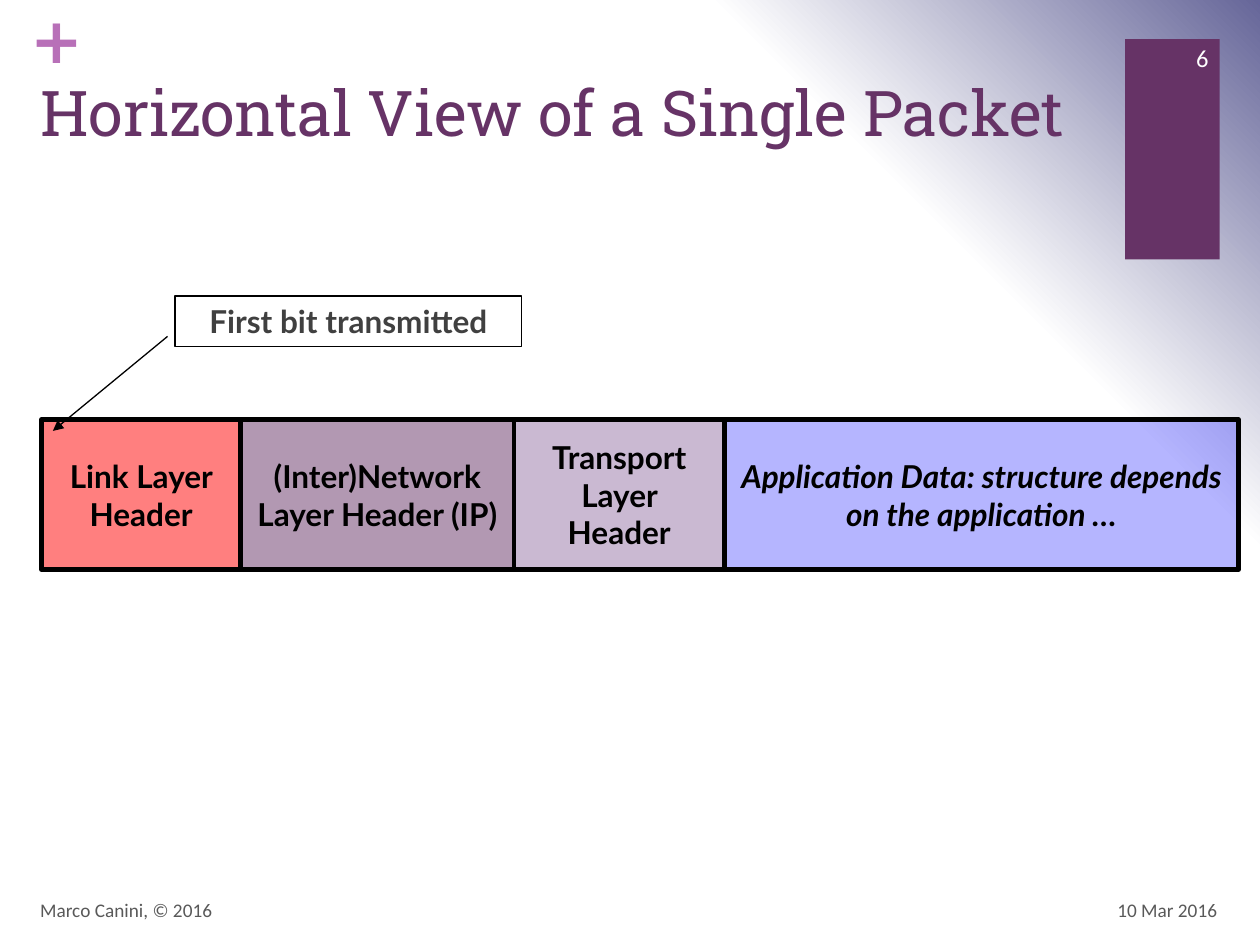
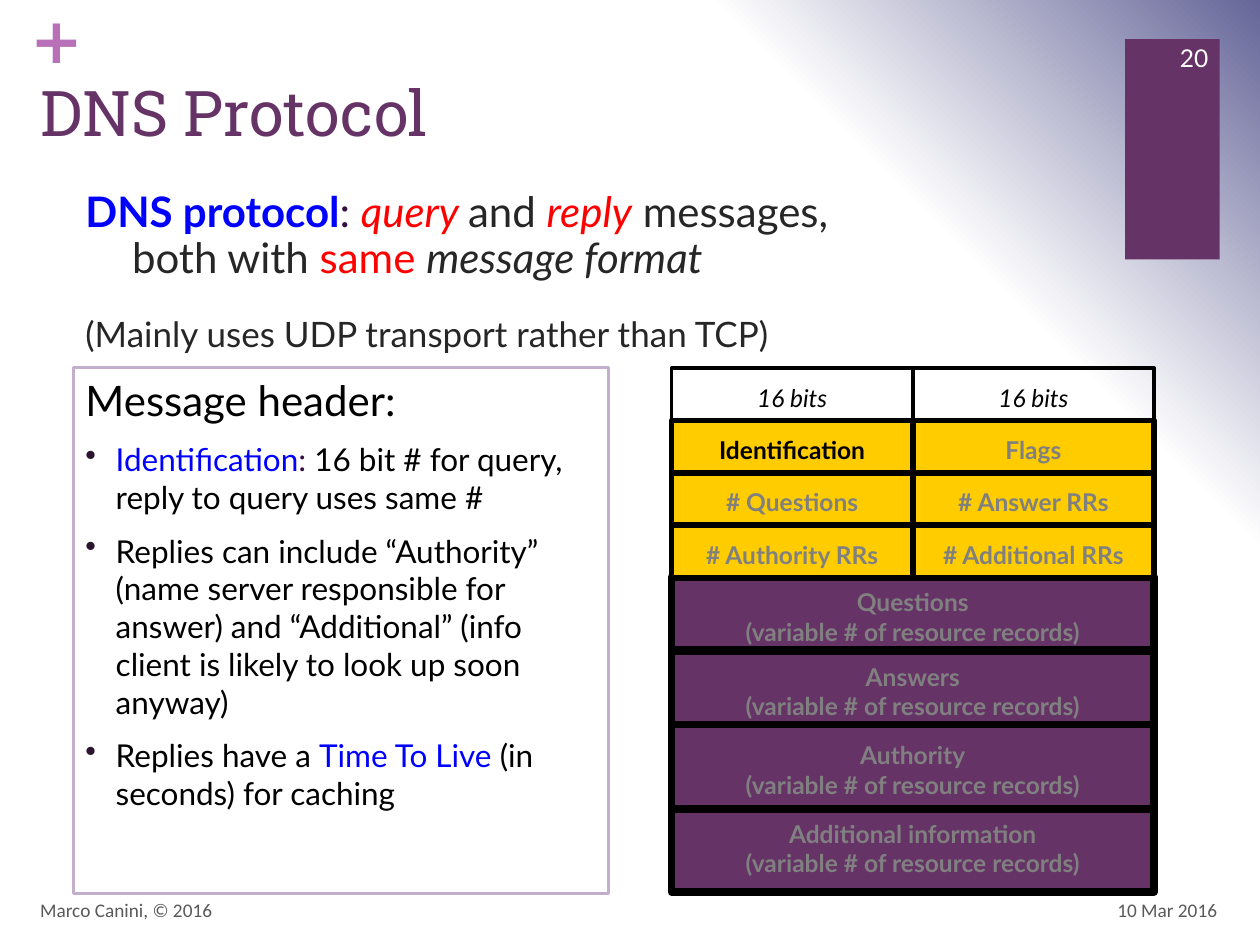
"""Build two networking lecture slides: a packet layout and the DNS message format."""
import dataclasses

import pptx
import pptx.dml.color
import pptx.enum.shapes
import pptx.enum.text
import pptx.oxml
import pptx.oxml.ns
import pptx.util

Inches = pptx.util.Inches
Align = pptx.enum.text.PP_ALIGN
Anchor = pptx.enum.text.MSO_ANCHOR


@dataclasses.dataclass(frozen=True)
class Theme:
    """Colours, fonts and type sizes shared by the slides."""

    purple: str = "663366"
    plus: str = "B870B8"
    corner: str = "666699"
    white: str = "FFFFFF"
    black: str = "000000"
    ink: str = "262626"
    colon: str = "330F42"
    footer: str = "595959"
    callout: str = "404040"
    muted: str = "808080"
    blue: str = "0000FF"
    red: str = "FF0000"
    lilac: str = "9775A7"
    frame: str = "C3AFCC"
    bullet: str = "2B142D"
    yellow: str = "FFCC00"
    body_font: str = "Lato"
    title_font: str = "Roboto Slab"
    footer_font: str = "Calibri"
    plus_font: str = "DejaVu Sans"
    title_size: int = 36
    lead_size: int = 24
    note_size: int = 20
    text_size: int = 18
    label_size: int = 14
    footer_size: int = 11


THEME = Theme()


@dataclasses.dataclass(frozen=True)
class Style:
    """Character formatting of one run."""

    size: int = THEME.text_size
    color: str = THEME.black
    bold: bool = False
    italic: bool = False
    font: str = THEME.body_font

    def but(self, **changes):
        """Return this style with some values changed."""
        return dataclasses.replace(self, **changes)


def rgb(color):
    """Turn a hex string into a colour."""
    return pptx.dml.color.RGBColor.from_string(color)


def add_runs(paragraph, runs):
    """Add (text, style) runs to a paragraph; None stands for a line break."""
    for item in runs:
        if item is None:
            paragraph.add_line_break()
            continue
        text, style = item
        run = paragraph.add_run()
        run.text = text
        run.font.name = style.font
        run.font.size = pptx.util.Pt(style.size)
        run.font.bold = style.bold
        run.font.italic = style.italic
        run.font.color.rgb = rgb(style.color)


def write(shape, paragraphs, align=Align.LEFT, anchor=Anchor.TOP, wrap=True):
    """Fill a shape with paragraphs of runs and return the paragraphs."""
    frame = shape.text_frame
    frame.word_wrap = wrap
    frame.auto_size = pptx.enum.text.MSO_AUTO_SIZE.NONE
    frame.vertical_anchor = anchor
    written = []
    for index, runs in enumerate(paragraphs):
        paragraph = frame.add_paragraph() if index else frame.paragraphs[0]
        paragraph.alignment = align
        add_runs(paragraph, runs)
        written.append(paragraph)
    return written


def add_text(slide, box, paragraphs, **options):
    """Add a text box and return it with its paragraphs."""
    shape = slide.shapes.add_textbox(*map(Inches, box))
    return shape, write(shape, paragraphs, **options)


def add_box(slide, box, fill=None, opacity=100, line=None, width=1):
    """Add a rectangle with an optional fill and outline."""
    shape = slide.shapes.add_shape(
        pptx.enum.shapes.MSO_SHAPE.RECTANGLE, *map(Inches, box))
    shape.shadow.inherit = False
    if fill:
        shape.fill.solid()
        shape.fill.fore_color.rgb = rgb(fill)
        if opacity < 100:
            color = shape._element.spPr.find(".//" + pptx.oxml.ns.qn("a:srgbClr"))
            alpha = color.makeelement(pptx.oxml.ns.qn("a:alpha"), {"val": str(opacity * 1000)})
            color.append(alpha)
    else:
        shape.fill.background()
    if line:
        shape.line.color.rgb = rgb(line)
        shape.line.width = pptx.util.Pt(width)
    else:
        shape.line.fill.background()
    return shape


def add_arrow(slide, start, end):
    """Add a thin line with a triangle at its end."""
    arrow = slide.shapes.add_connector(
        pptx.enum.shapes.MSO_CONNECTOR.STRAIGHT, *map(Inches, start + end))
    arrow.line.color.rgb = rgb(THEME.black)
    arrow.line.width = pptx.util.Pt(0.75)
    line = arrow.line._get_or_add_ln()
    line.append(line.makeelement(pptx.oxml.ns.qn("a:tailEnd"), {"type": "triangle"}))
    properties = arrow._element.spPr
    properties.append(properties.makeelement(pptx.oxml.ns.qn("a:effectLst"), {}))


def set_indent(paragraph, indent, bullet=False):
    """Give a paragraph a hanging indent and, if wanted, a round bullet."""
    properties = paragraph._p.get_or_add_pPr()
    properties.set("marL", str(Inches(indent)))
    properties.set("indent", str(-Inches(indent)))
    if bullet:
        color = pptx.oxml.parse_xml(
            f'<a:buClr {pptx.oxml.ns.nsdecls("a")}><a:srgbClr val="{THEME.bullet}"/></a:buClr>')
        mark = properties.makeelement(pptx.oxml.ns.qn("a:buChar"), {"char": "•"})
        properties.extend([color, mark])


def set_background(master):
    """Shade the top right corner of every slide."""
    stops = "".join(
        f'<a:gs pos="{position * 1000}"><a:srgbClr val="{color}"/></a:gs>'
        for position, color in ((0, THEME.white), (75, THEME.white), (100, THEME.corner)))
    gradient = pptx.oxml.parse_xml(
        f'<a:gradFill {pptx.oxml.ns.nsdecls("a")} rotWithShape="0"><a:gsLst>{stops}</a:gsLst>'
        '<a:path path="circle"><a:fillToRect t="100000" r="100000"/></a:path></a:gradFill>')
    master.background.fill.solid()
    properties = master._element.cSld.bg.bgPr
    properties.replace(properties[0], gradient)


def start_slide(presentation, title, number, number_font):
    """Add a slide with its band, plus sign, title, number and footers."""
    slide = presentation.slides.add_slide(presentation.slide_layouts[5])
    add_box(slide, (8.93, 0.31, 0.75, 1.75), THEME.purple)
    plus, _ = add_text(slide, (0.24, 0, 0.29, 0.61), [[("+", Style(
        THEME.title_size, THEME.plus, bold=True, font=THEME.plus_font))]], wrap=False)
    frame = plus.text_frame
    frame.margin_left = frame.margin_right = frame.margin_top = frame.margin_bottom = 0

    heading = slide.shapes.title
    heading.left, heading.top, heading.width, heading.height = map(
        Inches, (0.22, 0.53, 8.59, 1.22))
    write(heading, [[(title, Style(
        THEME.title_size, THEME.purple, font=THEME.title_font))]])

    footer = Style(THEME.footer_size, THEME.footer, font=THEME.footer_font)
    number_style = Style(THEME.label_size, THEME.white, font=number_font)
    for box, text, style, align in (
            ((9.08, 0.26, 0.61, 0.4), number, number_style, Align.RIGHT),
            ((7.43, 7.02, 2.33, 0.4), "10 Mar 2016", footer, Align.RIGHT),
            ((0.22, 7.02, 6.7, 0.4), "Marco Canini, © 2016", footer, Align.LEFT)):
        add_text(slide, box, [[(text, style)]], align=align, anchor=Anchor.MIDDLE)
    return slide


def draw_packet(slide, left, top, height):
    """Draw the packet's fields side by side, with a callout on the first bit."""
    style = Style(bold=True)
    fields = (
        ("Link Layer Header", 1.58, THEME.red, 50, style),
        ("(Inter)Network Layer Header (IP)", 2.17, THEME.purple, 50, style),
        ("Transport Layer Header", 1.67, THEME.lilac, 50, style),
        ("Application Data: structure depends on the application …", 4.08,
         THEME.blue, 29, style.but(italic=True)))
    field_left = left
    for text, width, fill, opacity, field_style in fields:
        field = add_box(slide, (field_left, top, width, height), fill, opacity, THEME.black, 2.5)
        write(field, [[(text, field_style)]], Align.CENTER, Anchor.MIDDLE)
        field_left += width
    callout = add_box(slide, (left + 1.06, top - 0.98, 2.75, 0.4), line=THEME.black)
    write(callout, [[("First bit transmitted", style.but(color=THEME.callout))]],
          Align.CENTER, Anchor.MIDDLE, wrap=False)
    add_arrow(slide, (left + 1, top - 0.66), (left + 0.09, top + 0.09))


def draw_summary(slide, box):
    """Write the opening statement about the protocol."""
    plain = Style(THEME.lead_size, THEME.ink)
    red = plain.but(color=THEME.red)
    _, paragraphs = add_text(slide, box, [
        [("DNS protocol", plain.but(color=THEME.blue, bold=True)),
         (": ", plain.but(color=THEME.colon)),
         ("query ", red.but(italic=True)), ("and ", plain),
         ("reply", red.but(italic=True)), (" messages,", plain), None,
         ("both with ", plain), ("same ", red),
         ("message format", plain.but(italic=True))],
        [("(Mainly uses UDP transport rather than TCP)", plain.but(size=THEME.note_size))]])
    for paragraph in paragraphs:
        set_indent(paragraph, 0.37)
        paragraph.line_spacing = 0.9
    paragraphs[1].space_before = pptx.util.Pt(20)


def draw_header_notes(slide, box):
    """Draw the framed notes on the message header."""
    plain = Style()
    blue = plain.but(color=THEME.blue)
    notes = add_box(slide, box, line=THEME.frame, width=1.75)
    heading, *bullets = write(notes, [
        [("Message header:", plain.but(size=THEME.lead_size))],
        [("Identification", blue), (":", plain.but(color=THEME.colon)),
         (" 16 bit # for query, reply to query uses same #", plain)],
        [("Replies can include “Authority” (name server responsible for answer) "
          "and “Additional” (info client is likely to look up soon anyway)", plain)],
        [("Replies have a ", plain), ("Time To Live", blue),
         (" (in seconds) for caching", plain)]])
    set_indent(heading, 0.24)
    for paragraph in bullets:
        paragraph.space_before = pptx.util.Pt(9)
        set_indent(paragraph, 0.24, bullet=True)


def draw_cell(slide, box, lines, style, fill, width):
    """Draw one outlined field of the message with centred lines of text."""
    cell = add_box(slide, box, fill, line=THEME.black, width=width)
    write(cell, [[(line, style)] for line in lines], Align.CENTER, Anchor.MIDDLE)
    cell.text_frame.margin_bottom = 0


def draw_message_format(slide, left, top, width):
    """Draw the message: variable sections below rows of two 16-bit fields."""
    label = Style(THEME.label_size, THEME.muted, bold=True)
    sections = (("Additional information", 3.41, 0.75), ("Questions", 1.66, 0.58),
                ("Answers", 2.25, 0.58), ("Authority", 2.83, 0.67))
    for name, offset, height in sections:
        draw_cell(slide, (left, top + offset, width, height),
                  (name, "(variable # of resource records)"), label, THEME.purple, 4.25)

    row_height = 1.25 / 3
    rows = (("16 bits", "16 bits"), ("Identification", "Flags"),
            ("# Questions", "# Answer RRs"), ("# Authority RRs", "# Additional RRs"))
    for row, names in reversed(list(enumerate(rows))):
        for column, name in enumerate(names):
            style, fill, line_width = label, THEME.yellow, 3.25
            if row == 0:
                style, fill, line_width = Style(THEME.label_size, italic=True), None, 2
            elif name == "Identification":
                style = label.but(color=THEME.black)
            draw_cell(slide, (left + column * width / 2, top + row * row_height,
                              width / 2, row_height), (name,), style, fill, line_width)


def main():
    """Build and save the presentation."""
    presentation = pptx.Presentation()
    presentation.slide_width = Inches(10)
    presentation.slide_height = Inches(7.5)
    set_background(presentation.slide_master)

    packet = start_slide(
        presentation, "Horizontal View of a Single Packet", "6", THEME.footer_font)
    draw_packet(packet, 0.33, 3.33, 1.19)

    protocol = start_slide(presentation, "DNS Protocol", "20", THEME.body_font)
    draw_summary(protocol, (0.58, 1.47, 7.97, 1.36))
    draw_header_notes(protocol, (0.58, 2.92, 4.25, 4.17))
    draw_message_format(protocol, 5.33, 2.92, 3.83)

    presentation.save("out.pptx")


if __name__ == "__main__":
    main()
